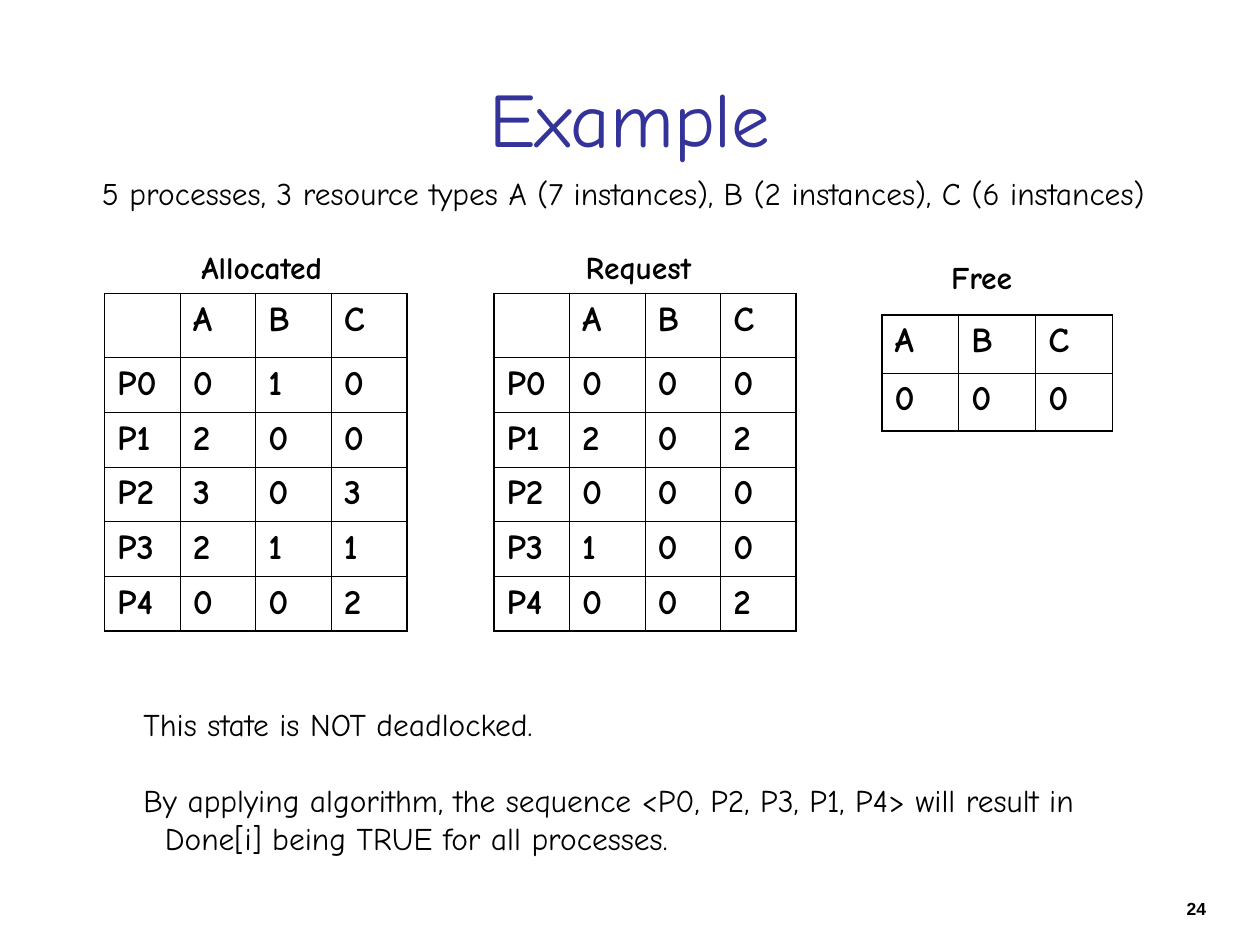
from lxml.etree import SubElement
from pptx import Presentation
from pptx.dml.color import RGBColor
from pptx.enum.text import MSO_ANCHOR, MSO_AUTO_SIZE, PP_ALIGN
from pptx.oxml.ns import qn
from pptx.util import Inches, Pt

COLORS = {"text": "000000", "title": "333399", "border": "000000"}
FONT = "Comic Neue"
BODY = {"name": FONT, "size": Pt(18), "bold": False}
LABEL = {"name": FONT, "size": Pt(18), "bold": True}
CELL = {"name": FONT, "size": Pt(20), "bold": True}
TITLE = {"name": FONT, "size": Pt(44), "bold": False}
NUMBER = {"name": "Arial", "size": Pt(10), "bold": True}
THICK, THIN = Pt(1.08), Pt(0.45)

ALLOCATED = ["010", "200", "303", "211", "002"]
REQUEST = ["000", "202", "000", "100", "002"]


def write(p, text, fmt, color="text"):
    """Put one formatted run into a paragraph."""
    r = p.add_run()
    r.text = text
    for name, value in fmt.items():
        setattr(r.font, name, value)
    r.font.color.rgb = RGBColor.from_string(COLORS[color])


def add_title(s, text):
    """Place and format the title placeholder."""
    sp = s.shapes.title
    sp.left, sp.top, sp.width, sp.height = map(Inches, (0.5, 0.3, 9, 1.25))
    sp.text_frame.vertical_anchor = MSO_ANCHOR.MIDDLE
    p = sp.text_frame.paragraphs[0]
    p.alignment = PP_ALIGN.CENTER
    write(p, text, TITLE, "title")


def add_text(s, box, text, fmt, wrap=False, align=PP_ALIGN.LEFT):
    """Add a text box with one paragraph and return its text frame."""
    tf = s.shapes.add_textbox(*map(Inches, box)).text_frame
    tf.word_wrap = wrap
    tf.auto_size = MSO_AUTO_SIZE.NONE if wrap else MSO_AUTO_SIZE.SHAPE_TO_FIT_TEXT
    p = tf.paragraphs[0]
    p.alignment = align
    write(p, text, fmt)
    return tf


def add_conclusion(s):
    """Add the closing remarks, the second with a hanging indent."""
    tf = add_text(s, (1.04, 5.55, 7.67, 1.3), "This state is NOT deadlocked.", BODY, wrap=True)
    p = tf.add_paragraph()
    p.space_before = Pt(21.6)
    pPr = p._p.get_or_add_pPr()
    pPr.set("marL", str(Inches(0.17)))
    pPr.set("indent", str(-Inches(0.17)))
    write(p, "By applying algorithm, the sequence <P0, P2, P3, P1, P4> will result in "
             "Done[i] being TRUE for all processes.", BODY)


def set_borders(cell, widths):
    """Draw the left, right, top and bottom borders of a cell."""
    tcPr = cell._tc.get_or_add_tcPr()
    for i, (side, width) in enumerate(zip("LRTB", widths)):
        ln = SubElement(tcPr, qn(f"a:ln{side}"), w=str(width))
        fill = SubElement(ln, qn("a:solidFill"))
        SubElement(fill, qn("a:srgbClr"), val=COLORS["border"])
        tcPr.insert(i, ln)


def add_matrix(s, left, top, rows, col_width, heights):
    """Add a table with a thick outline and thin inner lines."""
    n_rows, n_cols = len(rows), len(rows[0])
    frame = s.shapes.add_table(n_rows, n_cols, Inches(left), Inches(top),
                               Inches(col_width * n_cols), Inches(sum(heights)))
    table = frame.table
    table.first_row = table.horz_banding = False
    for col in table.columns:
        col.width = Inches(col_width)
    for i, (row, height) in enumerate(zip(rows, heights)):
        table.rows[i].height = Inches(height)
        for j, text in enumerate(row):
            cell = table.cell(i, j)
            cell.fill.background()
            edges = (j == 0, j == n_cols - 1, i == 0, i == n_rows - 1)
            set_borders(cell, [THICK if edge else THIN for edge in edges])
            if text:
                p = cell.text_frame.paragraphs[0]
                p.space_before = Pt(5)
                write(p, text, CELL)


def add_process_matrix(s, left, counts):
    """Add a table of resource counts with one row for each process."""
    rows = [["", *"ABC"]] + [[f"P{i}", *row] for i, row in enumerate(counts)]
    add_matrix(s, left, 2.33, rows, 0.6, [0.51] + [0.43] * len(counts))


def main():
    """Build the slide and save it."""
    prs = Presentation()
    prs.slide_width, prs.slide_height = Inches(10), Inches(7.5)
    s = prs.slides.add_slide(prs.slide_layouts[5])
    add_title(s, "Example")
    add_text(s, (0.71, 1.33, 8.51, 0.4),
             "5 processes, 3 resource types A (7 instances), B (2 instances), C (6 instances)", BODY)
    add_process_matrix(s, 0.83, ALLOCATED)
    add_process_matrix(s, 3.92, REQUEST)
    add_matrix(s, 7, 2.5, ["ABC", "000"], 0.61, [0.46, 0.46])
    add_text(s, (1.5, 1.92, 1.16, 0.4), "Allocated", LABEL)
    add_text(s, (4.55, 1.92, 1.05, 0.4), "Request", LABEL)
    add_text(s, (7.45, 2, 0.69, 0.4), "Free", LABEL)
    add_conclusion(s)
    add_text(s, (7.25, 7.08, 2.42, 0.25), "24", NUMBER, wrap=True, align=PP_ALIGN.RIGHT)
    prs.save("out.pptx")


if __name__ == "__main__":
    main()
